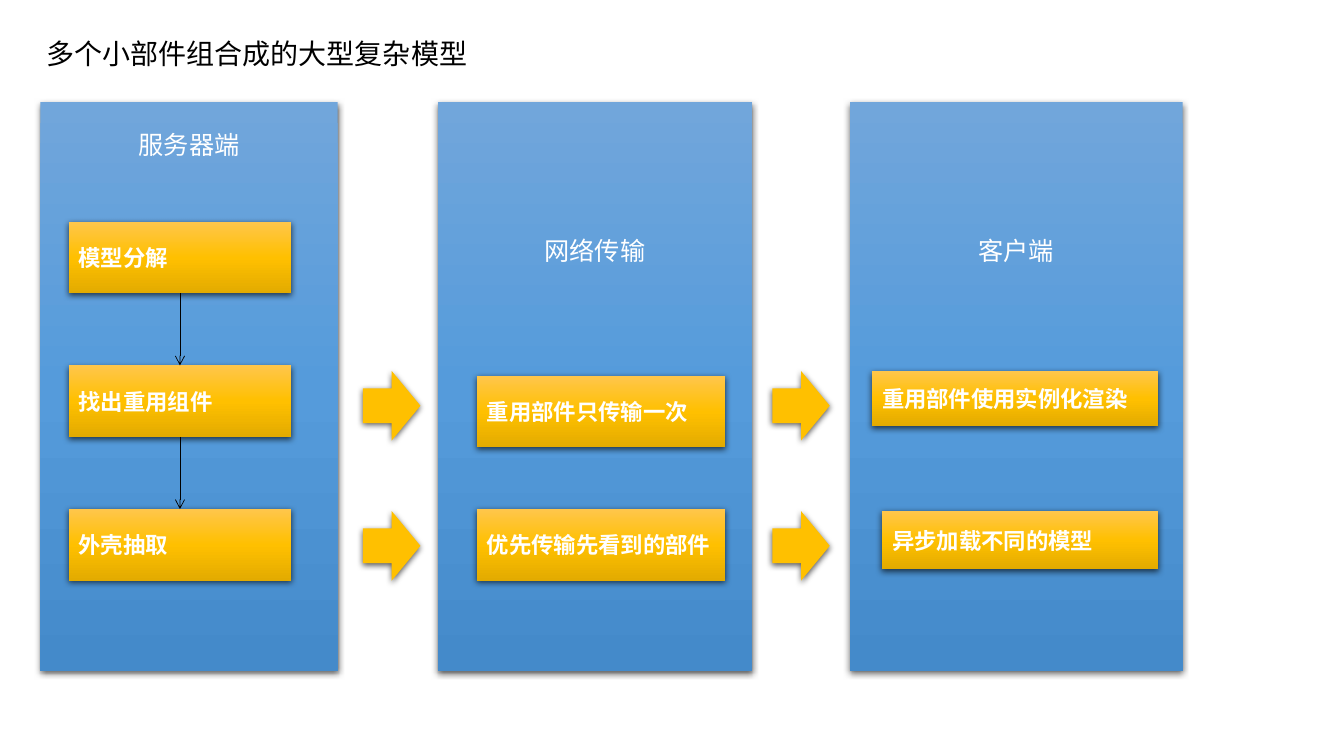
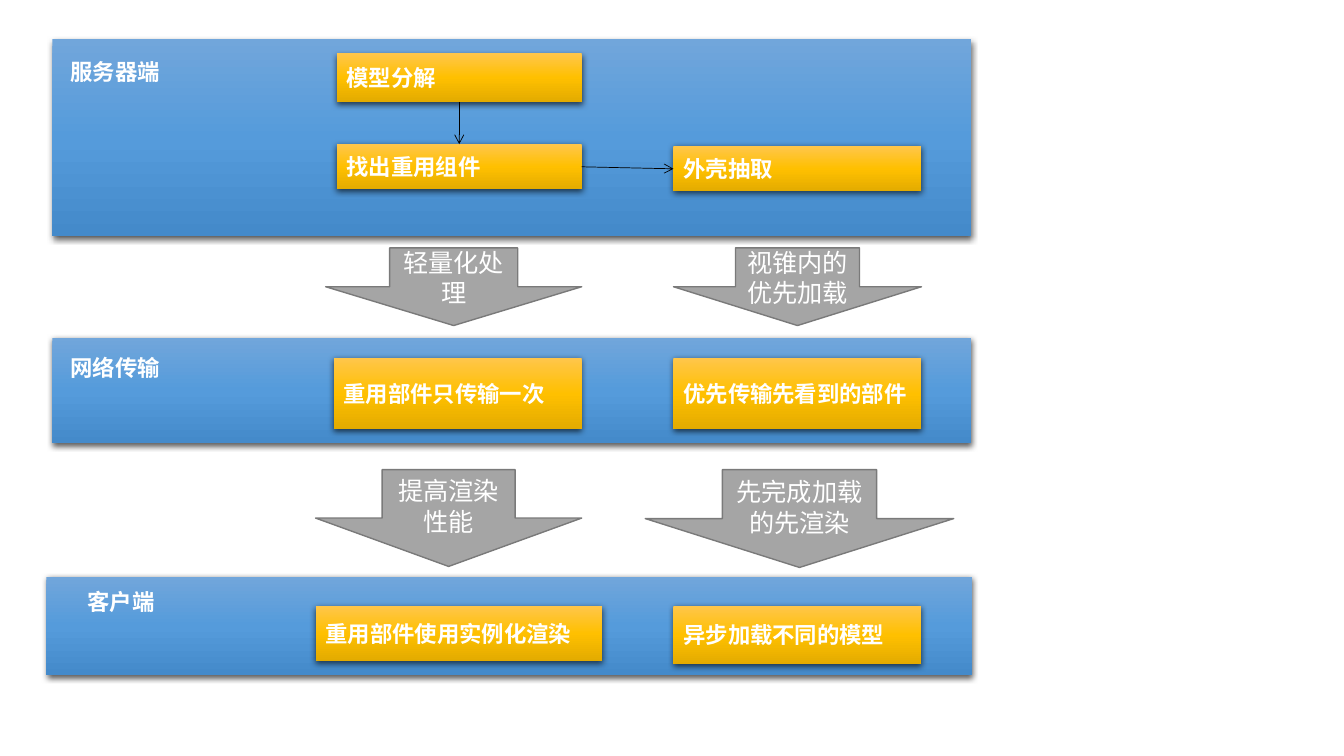
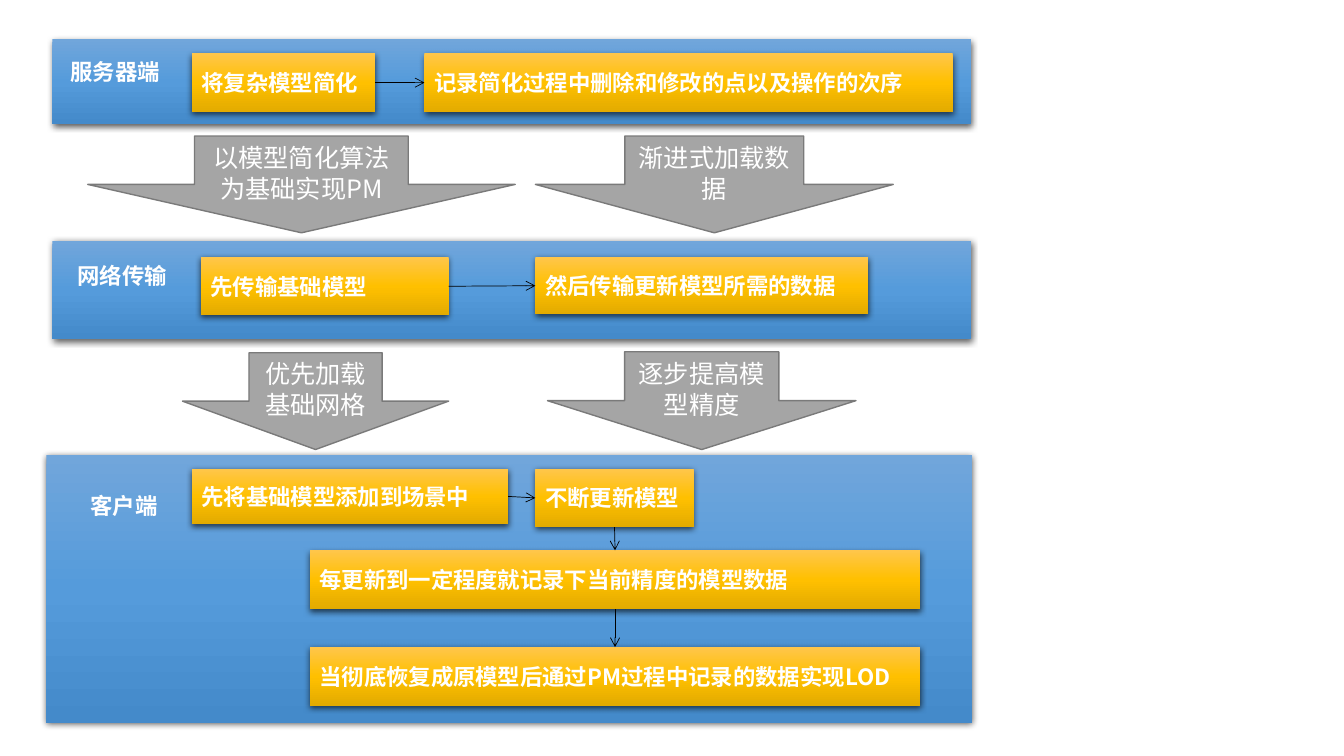
"""Draw three slides on model loading from server to client."""
from copy import deepcopy

from lxml import etree
from pptx import Presentation
from pptx.dml.color import RGBColor
from pptx.enum.shapes import MSO_CONNECTOR, MSO_SHAPE
from pptx.enum.text import MSO_ANCHOR, PP_ALIGN
from pptx.oxml.ns import qn
from pptx.util import Inches, Pt

RECT, RIGHT, DOWN = MSO_SHAPE.RECTANGLE, MSO_SHAPE.RIGHT_ARROW, MSO_SHAPE.DOWN_ARROW
LINE = MSO_CONNECTOR.STRAIGHT
MID, TOP = MSO_ANCHOR.MIDDLE, MSO_ANCHOR.TOP
LEFT, MIDST = PP_ALIGN.LEFT, PP_ALIGN.CENTER
FONT = "Noto Sans CJK SC"
WIDE, HIGH = Inches(13.33), Inches(7.5)
ROWS = 75
CELL = HIGH / ROWS
HUES = {"white": "FFFFFF", "black": "000000", "gold": "FFC000", "gray": "A5A5A5", "edge": "7A7A7A"}
FADES = {
    "blue": ("71A6DB", "559BDB", "448ACA"),
    "gold": ("FFC64B", "FFC000", "E3AB00"),
}
SIDE, BASE = (3, 1), (2, 0)
STAGES = "服务器端", "网络传输", "客户端"


def hue(name):
    """Return a named colour."""
    return RGBColor.from_string(HUES[name])


def grid(*cells):
    """Turn grid cells into slide lengths."""
    return [round(cell * CELL) for cell in cells]


def write(shape, text, size=16, bold=False, color="white", align=LEFT, anchor=MID, inset=0.5, lead=None):
    """Put formatted text into a shape."""
    frame = shape.text_frame
    frame.word_wrap = True
    frame.vertical_anchor = anchor
    frame.margin_top = grid(inset)[0]
    para = frame.paragraphs[0]
    para.alignment = align
    para.line_spacing = lead
    run = para.add_run()
    run.text = text
    font = run.font
    font.size, font.bold, font.name = Pt(size), bold, FONT
    font.color.rgb = hue(color)
    etree.SubElement(run._r.get_or_add_rPr(), qn("a:ea"), typeface=FONT)


def shade(shape):
    """Give a shape a soft shadow below."""
    glow = shape._element.spPr.find(qn("a:effectLst"))
    drop = etree.SubElement(glow, qn("a:outerShdw"), blurRad=str(Pt(4.5)), dist=str(Pt(1.5)),
                            dir="5400000", algn="ctr", rotWithShape="0")
    tint = etree.SubElement(drop, qn("a:srgbClr"), val=HUES["black"])
    etree.SubElement(tint, qn("a:alpha"), val="63000")


def form(slide, kind, place):
    """Add a plain shape with no line or shadow."""
    shape = slide.shapes.add_shape(kind, *grid(*place))
    shape.shadow.inherit = False
    shape.line.fill.background()
    return shape


def panel(slide, place, fade):
    """Add a shaded rectangle with a gradient."""
    shape = form(slide, RECT, place)
    fill = shape.fill
    fill.gradient()
    fill.gradient_angle = 270
    stops = shape._element.spPr.find(".//" + qn("a:gsLst"))
    stops.append(deepcopy(stops[-1]))
    for stop, spot, tint in zip(fill.gradient_stops, (0, 0.5, 1), FADES[fade]):
        stop.position = spot
        stop.color.rgb = RGBColor.from_string(tint)
    shade(shape)
    return shape


def box(slide, text, *place):
    """Add a gold step box."""
    shape = panel(slide, place, "gold")
    write(shape, text, bold=True)
    return shape


def next_mark(slide, *place):
    """Add a gold arrow between columns."""
    shape = form(slide, RIGHT, place)
    shape.fill.solid()
    shape.fill.fore_color.rgb = hue("gold")
    shade(shape)


def flow(slide, text, *place):
    """Add a gray arrow with a caption."""
    shape = form(slide, DOWN, place)
    shape.fill.solid()
    shape.fill.fore_color.rgb = hue("gray")
    shape.line.color.rgb = hue("edge")
    shape.line.width = Pt(1)
    write(shape, text, size=18, align=MIDST, lead=Pt(22))


def link(slide, start, end, sites):
    """Join two boxes with a thin arrow."""
    line = slide.shapes.add_connector(LINE, 0, 0, 0, 0)
    line.begin_connect(start, sites[0])
    line.end_connect(end, sites[1])
    line.line.color.rgb = hue("black")
    line.line.width = Pt(0.5)
    etree.SubElement(line.line._get_or_add_ln(), qn("a:tailEnd"), type="arrow")
    etree.SubElement(line._element.spPr, qn("a:effectLst"))


def bands(slide, spans, tags):
    """Add the three blue bands and their names."""
    lefts, wides = (5.2, 5.2, 4.6), (91.1, 91.1, 91.8)
    for left, wide, (top, high) in zip(lefts, wides, spans):
        panel(slide, (left, top, wide, high), "blue")
    for name, (left, top) in zip(STAGES, tags):
        last = name == STAGES[-1]
        tag = slide.shapes.add_textbox(*grid(left, top, 12 if last else 11.2, 3.7))
        write(tag, name, bold=True, anchor=TOP, align=MIDST if last else LEFT)


def columns(deck):
    """Build the slide with three columns."""
    slide = deck.slides.add_slide(deck.slide_layouts[5])
    title = slide.shapes.title
    title.left, title.top, title.width, title.height = grid(3.6, 2.9, 52.5, 5.2)
    write(title, "多个小部件组合成的大型复杂模型", size=20, color="black", lead=0.9)
    for name, left, wide, inset in zip(STAGES, (4, 43.4, 84.3), (29.5, 31.2, 33), (2.7, 13.2, 13.2)):
        column = panel(slide, (left, 10.15, wide, 56.4), "blue")
        write(column, name, size=18, align=MIDST, anchor=TOP, inset=inset)
    steps = [box(slide, text, 6.8, 22 + 14.25 * row, 22.1, 7.1)
             for row, text in enumerate(("模型分解", "找出重用组件", "外壳抽取"))]
    for start, end in zip(steps, steps[1:]):
        link(slide, start, end, BASE)
    box(slide, "重用部件只传输一次", 47.3, 37.3, 24.6, 7.1)
    box(slide, "优先传输先看到的部件", 47.3, 50.5, 24.6, 7.1)
    box(slide, "重用部件使用实例化渲染", 86.5, 36.8, 28.4, 5.5)
    box(slide, "异步加载不同的模型", 87.5, 50.7, 27.4, 5.8)
    for left in (36, 76.6):
        for top in (36.8, 50.7):
            next_mark(slide, left, top, 5.7, 6.9)


def reuse(deck):
    """Build the slide on reused parts."""
    slide = deck.slides.add_slide(deck.slide_layouts[6])
    bands(slide, ((3.9, 19.5), (33.5, 10.5), (57.2, 9.8)), ((6, 5.3), (6, 34.6), (6, 57.9)))
    split = box(slide, "模型分解", 33.4, 5.3, 24.3, 4.8)
    find = box(slide, "找出重用组件", 33.4, 14.3, 24.3, 4.5)
    shell = box(slide, "外壳抽取", 66.8, 14.5, 24.6, 4.5)
    link(slide, split, find, BASE)
    link(slide, find, shell, SIDE)
    box(slide, "重用部件只传输一次", 33.1, 35.5, 24.6, 7.1)
    box(slide, "优先传输先看到的部件", 66.8, 35.5, 24.6, 7.1)
    box(slide, "重用部件使用实例化渲染", 31.3, 60.1, 28.4, 5.5)
    box(slide, "异步加载不同的模型", 66.8, 60.1, 24.6, 5.8)
    flow(slide, "轻量化处理", 32.3, 24.6, 25.4, 7.7)
    flow(slide, "视锥内的优先加载", 66.8, 24.6, 24.6, 7.7)
    flow(slide, "提高渲染性能", 31.3, 46.6, 26.4, 9.6)
    flow(slide, "先完成加载的先渲染", 64, 46.6, 30.6, 9.7)


def refine(deck):
    """Build the slide on gradual refinement."""
    slide = deck.slides.add_slide(deck.slide_layouts[6])
    bands(slide, ((3.9, 8.4), (23.9, 9.7), (45.1, 26.6)), ((6, 5.3), (6.7, 25.5), (6.3, 48.3)))
    thin = box(slide, "将复杂模型简化", 19, 5.3, 18.2, 5.8)
    note = box(slide, "记录简化过程中删除和修改的点以及操作的次序", 42.1, 5.3, 52.4, 5.8)
    base = box(slide, "先传输基础模型", 19.9, 25.5, 24.6, 5.8)
    data = box(slide, "然后传输更新模型所需的数据", 53.1, 25.5, 33, 5.7)
    scene = box(slide, "先将基础模型添加到场景中", 19, 46.5, 31.4, 5.5)
    renew = box(slide, "不断更新模型", 53.1, 46.5, 15.7, 5.8)
    save = box(slide, "每更新到一定程度就记录下当前精度的模型数据", 30.7, 54.6, 60.6, 5.8)
    full = box(slide, "当彻底恢复成原模型后通过PM过程中记录的数据实现LOD", 30.7, 64.2, 60.6, 5.8)
    for start, end in ((thin, note), (base, data), (scene, renew)):
        link(slide, start, end, SIDE)
    for start, end in ((renew, save), (save, full)):
        link(slide, start, end, BASE)
    flow(slide, "以模型简化算法为基础实现PM", 8.7, 13.5, 42.4, 9.6)
    flow(slide, "渐进式加载数据", 53.1, 13.5, 35.5, 9.6)
    flow(slide, "优先加载基础网格", 18.1, 35, 26.4, 9.6)
    flow(slide, "逐步提高模型精度", 54.3, 34.9, 30.6, 9.7)


def main():
    """Build and save the deck."""
    deck = Presentation()
    deck.slide_width, deck.slide_height = WIDE, HIGH
    columns(deck)
    reuse(deck)
    refine(deck)
    deck.save("out.pptx")


if __name__ == "__main__":
    main()
